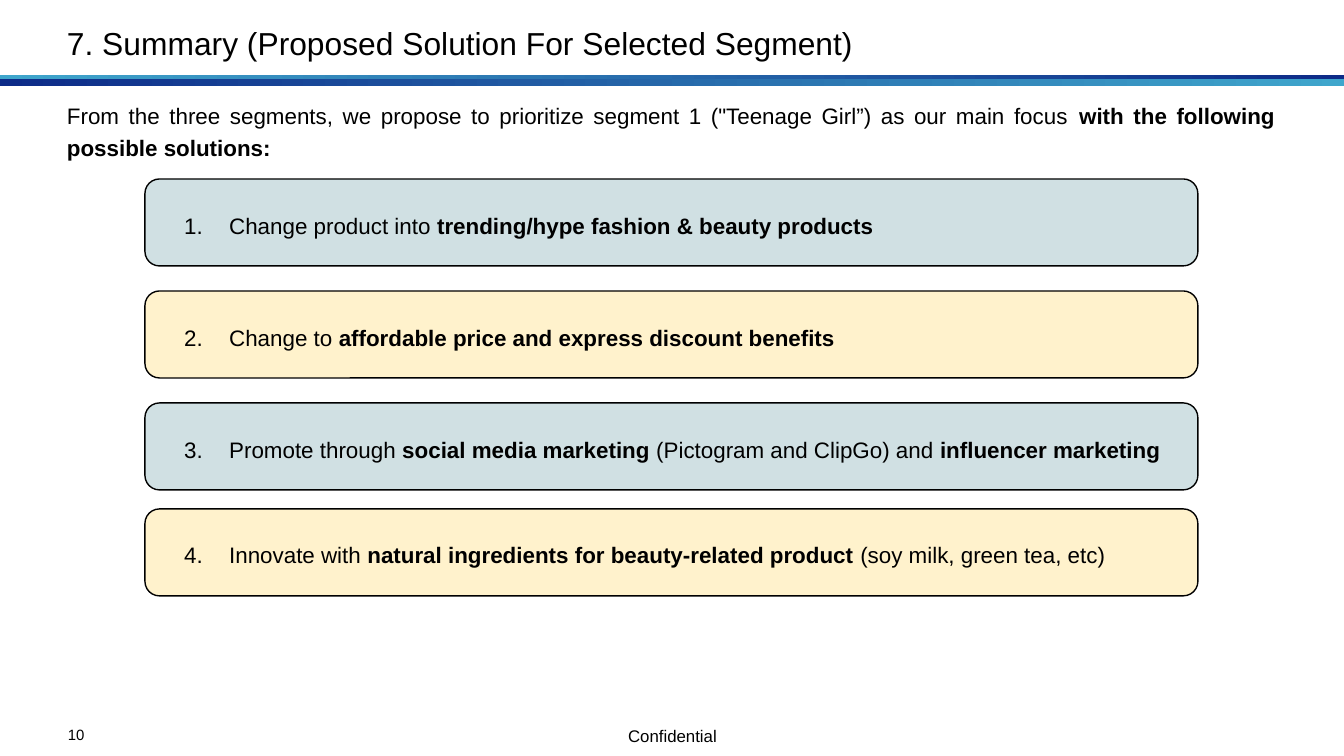
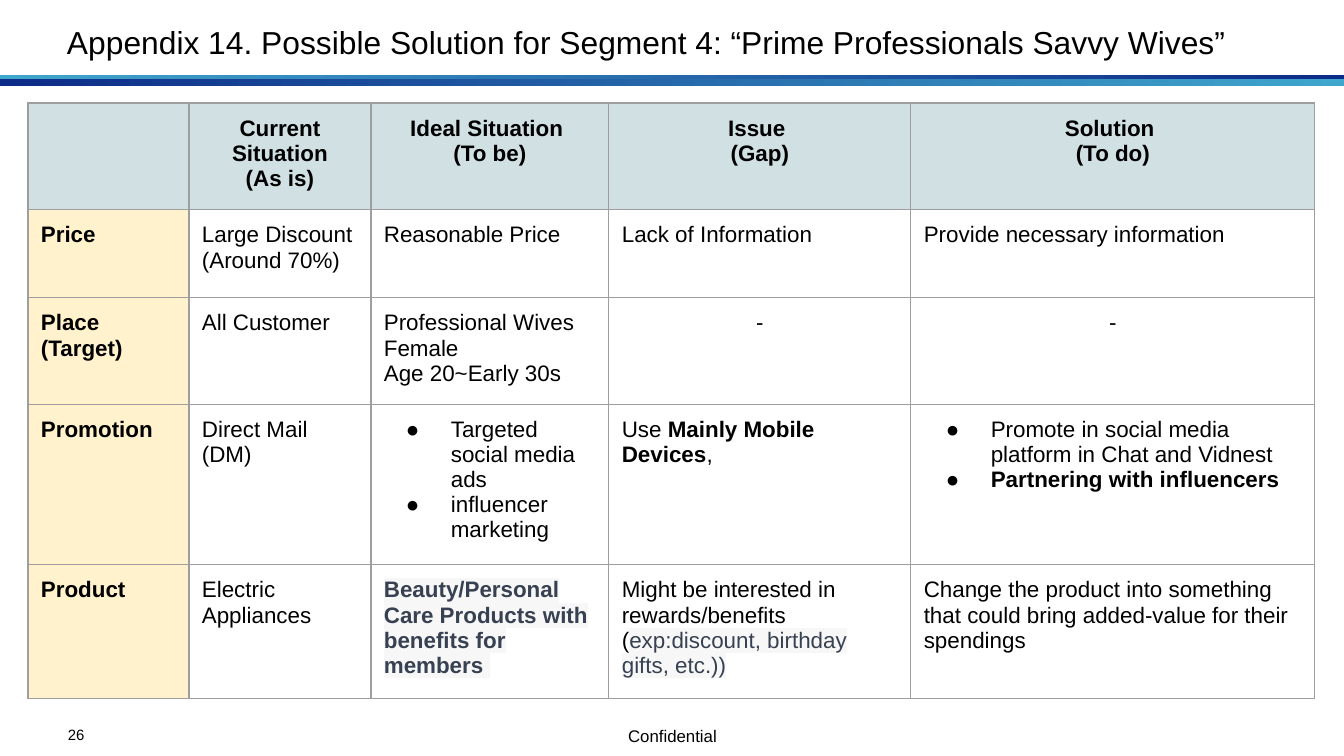
from lxml.etree import SubElement
from pptx import Presentation
from pptx.dml.color import RGBColor
from pptx.enum.shapes import MSO_SHAPE
from pptx.enum.text import MSO_ANCHOR, MSO_AUTO_SIZE, PP_ALIGN
from pptx.oxml.ns import qn
from pptx.util import Pt

# Shared look
FONT = "Arial"
BLACK = RGBColor(0x00, 0x00, 0x00)
SKY = RGBColor(0x3F, 0xA6, 0xCC)
NAVY = RGBColor(0x0D, 0x2B, 0x88)
MIST = RGBColor(0xD0, 0xE0, 0xE3)
CREAM = RGBColor(0xFF, 0xF2, 0xCC)
SLATE = RGBColor(0x37, 0x41, 0x51)
PALE = RGBColor(0xF7, 0xF7, 0xF8)
GRID = RGBColor(0x9E, 0x9E, 0x9E)

EMU_PER_PX = 914400 / 134.4
SLIDE_W, SLIDE_H = 1344, 756
PAD = 13
HANG_LEFT, HANG = 67, 45

BOLD = {"bold": True}
NOTE = {"color": SLATE, "highlight": PALE}
CENTER = {"alignment": PP_ALIGN.CENTER}
JUSTIFY = {"alignment": PP_ALIGN.JUSTIFY, "line_spacing": 1.2}

# Slide 1: each solution has its top and its runs
INTRO = [
    "From the three segments, we propose to prioritize segment 1 "
    "(\"Teenage Girl”) as our main focus ",
    ("with the following possible solutions:", BOLD),
]
SOLUTIONS = [
    (179, ["Change product into ",
           ("trending/hype fashion & beauty products", BOLD)]),
    (291, ["Change to ",
           ("affordable price and express discount benefits", BOLD)]),
    (403, ["Promote through ", ("social media marketing", BOLD),
           " (Pictogram and ClipGo) and ", ("influencer marketing", BOLD)]),
    (509, ["Innovate with ",
           ("natural ingredients for beauty-related product ", BOLD),
           "(soy milk, green tea, etc)"]),
]

# Slide 2: a cell is a list of paragraphs, a paragraph a list of runs
COL_WIDTHS = [161, 182, 238, 302, 404]
ROW_HEIGHTS = [102, 88, 101, 153, 127]
BULLETED = {(3, 2), (3, 4)}
SITUATIONS = [
    [[],
     [["Current Situation"], ["(As is)"]],
     [["Ideal Situation "], ["(To be)"]],
     [["Issue "], ["(Gap)"]],
     [["Solution "], ["(To do)"]]],
    [[["Price"]],
     [["Large Discount"], ["(Around 70%)"]],
     [["Reasonable Price"]],
     [["Lack of Information"]],
     [["Provide necessary information"]]],
    [[["Place (Target)"]],
     [["All Customer"]],
     [["Professional Wives"], ["Female"], ["Age 20~Early 30s"]],
     [["-"]],
     [["-"]]],
    [[["Promotion"]],
     [["Direct Mail (DM)"]],
     [["Targeted social media ads"], ["influencer marketing"]],
     [["Use ", ("Mainly Mobile Devices", BOLD), ","]],
     [["Promote in social media platform in Chat and Vidnest"],
      [("Partnering with influencers", BOLD)]]],
    [[["Product"]],
     [["Electric Appliances"]],
     [[("Beauty/Personal Care Products with benefits for members ",
        {**NOTE, **BOLD})]],
     [["Might be interested in rewards/benefits (",
       ("exp:discount, birthday gifts, etc.))", NOTE)]],
     [["Change the product into something that could bring "
       "added-value for their spendings"]]],
]


def px(n):
    return round(n * EMU_PER_PX)


def apply(obj, **formats):
    for name, value in formats.items():
        setattr(obj, name, value)


def set_margins(obj, margin):
    for side in ("left", "top", "right", "bottom"):
        setattr(obj, f"margin_{side}", px(margin))


def place(sp, left, top, width, height):
    apply(sp, left=px(left), top=px(top), width=px(width), height=px(height))


def add_color(parent, tag, color):
    el = SubElement(parent, qn(tag))
    SubElement(el, qn("a:srgbClr")).set("val", str(color))
    return el


# Text
def add_run(p, text, size=12, bold=False, color=BLACK, highlight=None):
    r = p.add_run()
    r.text = text
    apply(r.font, size=Pt(size), bold=bold, name=FONT)
    r.font.color.rgb = color
    if highlight is not None:
        rPr = r.font._element
        mark = add_color(rPr, "a:highlight", highlight)
        rPr.find(qn("a:latin")).addprevious(mark)


def add_bullet(p, number=None):
    pPr = p._p.get_or_add_pPr()
    pPr.set("marL", str(px(HANG_LEFT)))
    pPr.set("indent", str(-px(HANG)))
    add_color(pPr, "a:buClr", BLACK)
    SubElement(pPr, qn("a:buFont")).set("typeface", FONT)
    if number is None:
        SubElement(pPr, qn("a:buChar")).set("char", "●")
    else:
        auto = SubElement(pPr, qn("a:buAutoNum"))
        auto.set("type", "arabicPeriod")
        auto.set("startAt", str(number))


def write(tf, paragraphs, formats=None, bulleted=False, number=None, **style):
    for i, runs in enumerate(paragraphs):
        p = tf.add_paragraph() if i else tf.paragraphs[0]
        if bulleted:
            add_bullet(p, number)
        apply(p, **(formats or {}))
        for run in runs:
            text, extra = (run, {}) if isinstance(run, str) else run
            add_run(p, text, **{**style, **extra})


def add_text(s, box, runs, formats=None, **style):
    tf = s.shapes.add_textbox(*map(px, box)).text_frame
    tf.word_wrap = True
    set_margins(tf, 0)
    write(tf, [runs], formats, **style)


# Shapes
def add_band(s, top, height, start, end):
    sp = s.shapes.add_shape(MSO_SHAPE.RECTANGLE, 0, px(top), px(SLIDE_W), px(height))
    sp.shadow.inherit = False
    sp.line.fill.background()
    sp.fill.gradient()
    sp.fill.gradient_angle = 0
    for stop, position, color in zip(sp.fill.gradient_stops, (0, 1), (start, end)):
        stop.position = position
        stop.color.rgb = color


def add_card(s, top, number, runs):
    sp = s.shapes.add_shape(MSO_SHAPE.ROUNDED_RECTANGLE,
                            px(145), px(top), px(1053), px(87))
    sp.shadow.inherit = False
    sp.fill.solid()
    sp.fill.fore_color.rgb = MIST if number % 2 else CREAM
    sp.line.color.rgb = BLACK
    sp.line.width = Pt(0.75)
    tf = sp.text_frame
    apply(tf, word_wrap=True, vertical_anchor=MSO_ANCHOR.MIDDLE)
    set_margins(tf, PAD)
    write(tf, [runs], JUSTIFY, bulleted=True, number=number)


# Table
def add_borders(cell):
    tcPr = cell._tc.get_or_add_tcPr()
    for side in "LRTB":
        ln = SubElement(tcPr, qn(f"a:ln{side}"))
        ln.set("w", str(Pt(0.75)))
        add_color(ln, "a:solidFill", GRID)


def format_cell(cell, row, col, paragraphs):
    add_borders(cell)
    set_margins(cell, PAD)
    if row == 0 or col == 0:
        cell.fill.solid()
        cell.fill.fore_color.rgb = CREAM if row else MIST
    else:
        cell.fill.background()
    centered = row == 0 or paragraphs == [["-"]]
    write(cell.text_frame, paragraphs, CENTER if centered else None,
          bulleted=(row, col) in BULLETED, bold=row == 0 or col == 0)


def add_situation_table(s, left, top):
    table = s.shapes.add_table(
        len(ROW_HEIGHTS), len(COL_WIDTHS), px(left), px(top),
        px(sum(COL_WIDTHS)), px(sum(ROW_HEIGHTS))).table
    apply(table, first_row=False, horz_banding=False)
    for column, width in zip(table.columns, COL_WIDTHS):
        column.width = px(width)
    for row, height in zip(table.rows, ROW_HEIGHTS):
        row.height = px(height)
    for i, cells in enumerate(SITUATIONS):
        for j, paragraphs in enumerate(cells):
            format_cell(table.cell(i, j), i, j, paragraphs)


# Title, bands and footer of every slide
def add_slide(prs, title, page, title_top):
    s = prs.slides.add_slide(prs.slide_layouts[5])
    sp = s.shapes.title
    place(sp, 67, title_top, 1171, 45)
    tf = sp.text_frame
    apply(tf, word_wrap=True, auto_size=MSO_AUTO_SIZE.NONE,
          vertical_anchor=MSO_ANCHOR.BOTTOM)
    set_margins(tf, 0)
    write(tf, [[title]], {"alignment": PP_ALIGN.LEFT}, size=17)
    add_band(s, 75, 5, SKY, NAVY)
    add_band(s, 79, 7, NAVY, SKY)
    add_text(s, (540, 730, 265, 16), ["Confidential"],
             {**CENTER, "line_spacing": 0.8}, size=9)
    add_text(s, (68, 726, 67, 26), [str(page)], size=8)
    return s


def main():
    prs = Presentation()
    apply(prs, slide_width=px(SLIDE_W), slide_height=px(SLIDE_H))

    # Summary
    s = add_slide(prs, "7. Summary (Proposed Solution For Selected Segment)", 10, 17)
    add_text(s, (67, 97, 1208, 73), INTRO, JUSTIFY)
    for number, (top, runs) in enumerate(SOLUTIONS, 1):
        add_card(s, top, number, runs)

    # Appendix
    s = add_slide(prs, "Appendix 14. Possible Solution for Segment 4: "
                       "“Prime Professionals Savvy Wives”", 26, 16)
    add_situation_table(s, 28, 103)

    prs.save("out.pptx")


if __name__ == "__main__":
    main()
